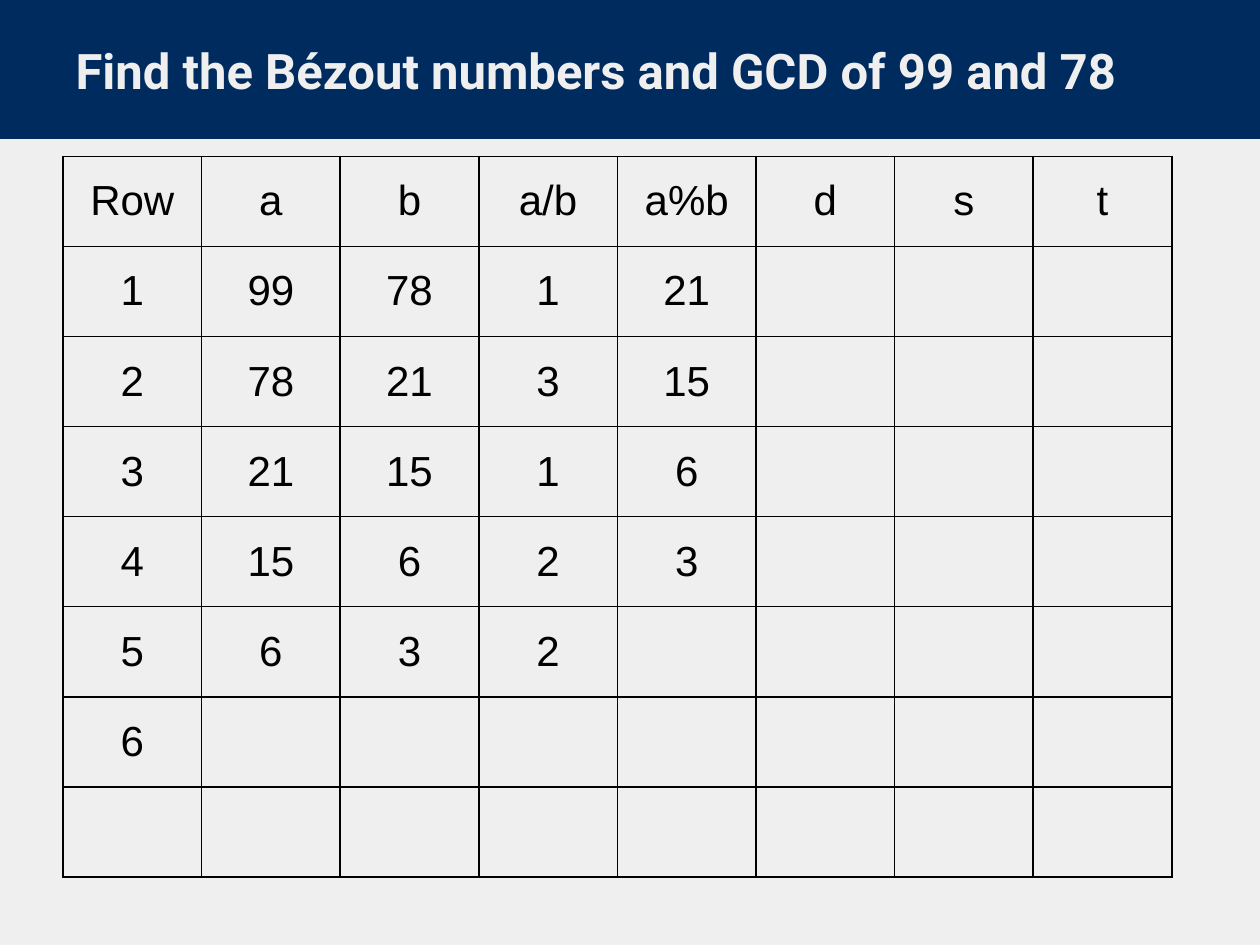
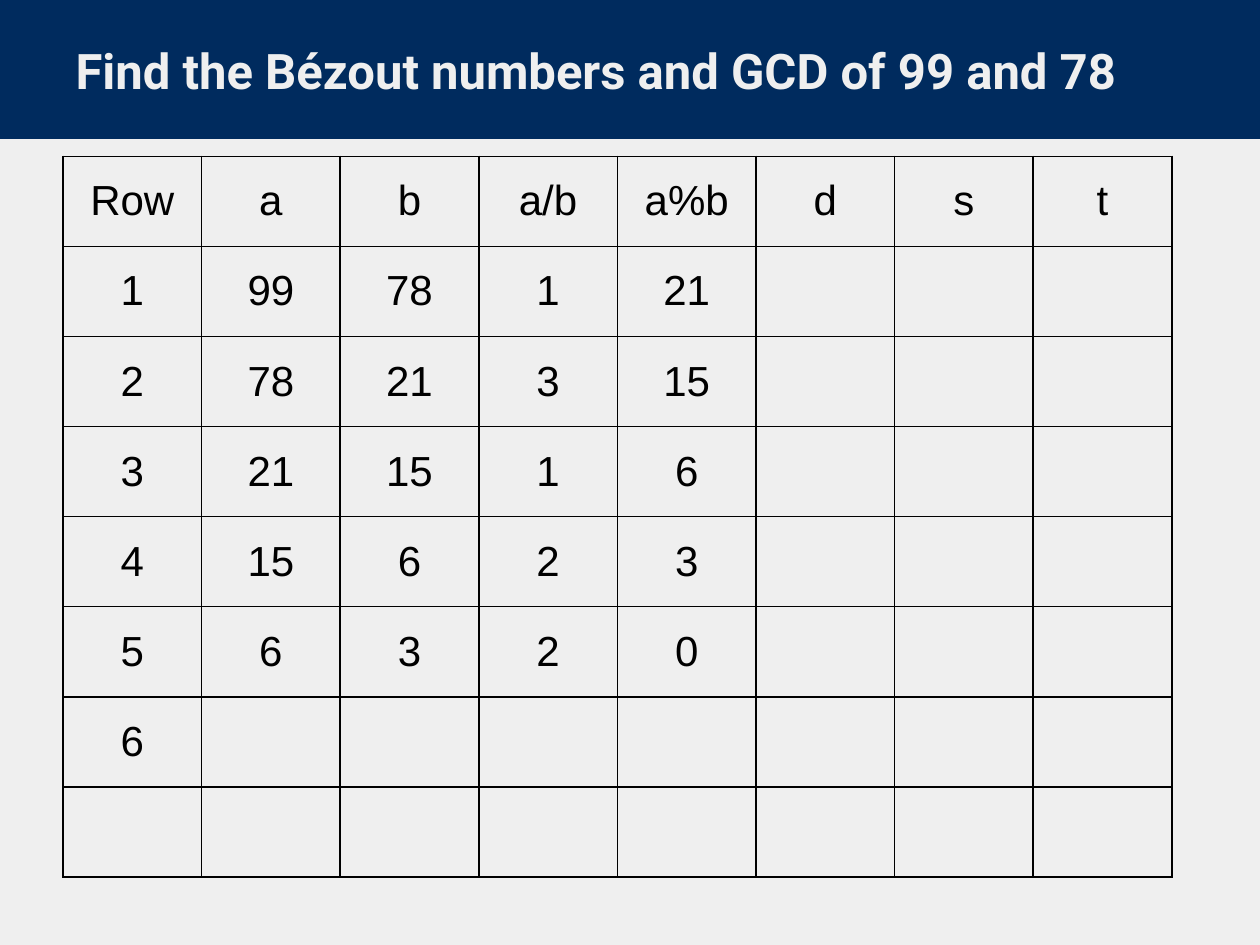
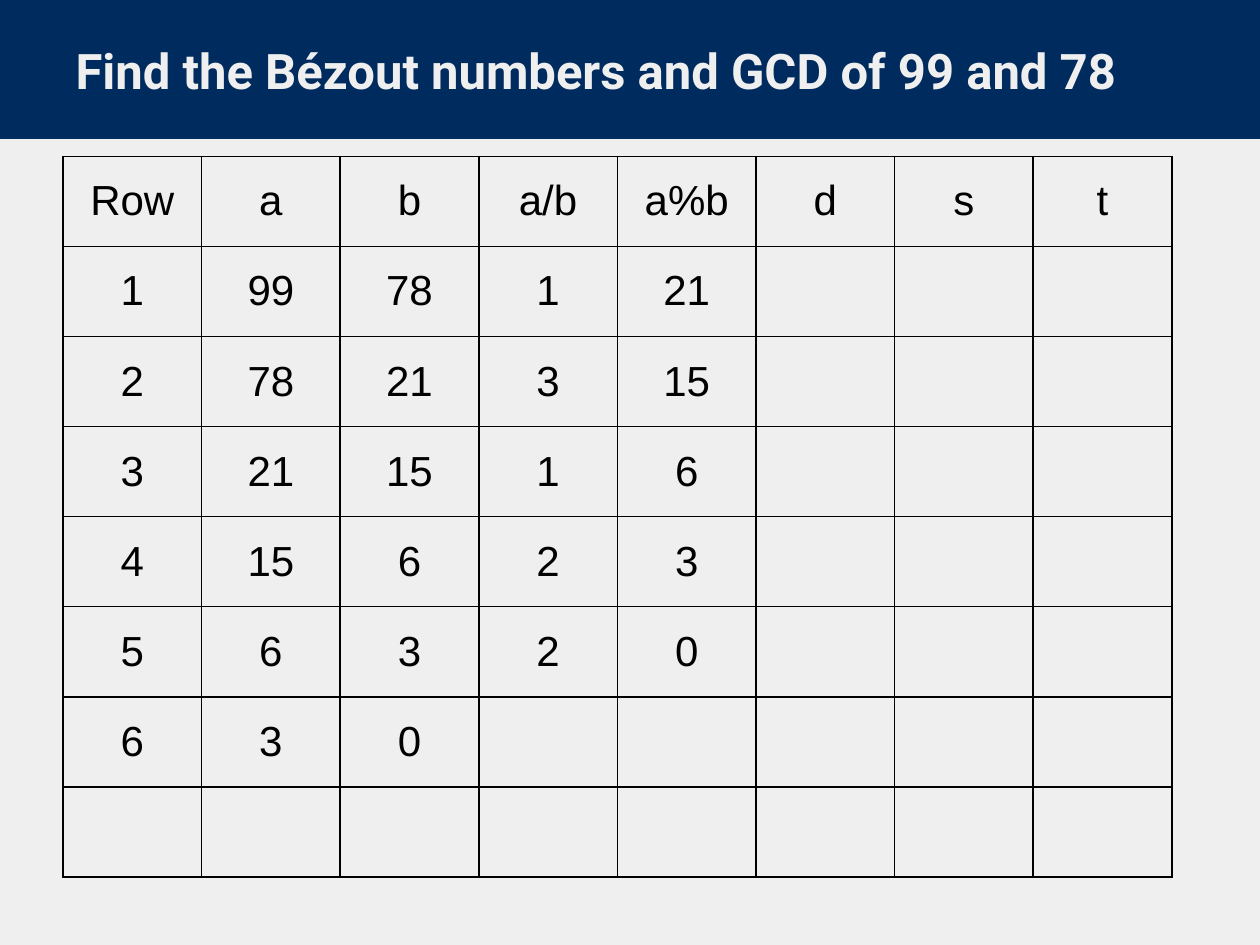
from lxml import etree
from pptx import Presentation, util as u
from pptx.dml.color import RGBColor
from pptx.enum import shapes, text
from pptx.oxml.ns import qn

NAVY = RGBColor(0x00, 0x2B, 0x5E)
PALE = RGBColor(0xEF, 0xEF, 0xEF)
BLACK = RGBColor(0x00, 0x00, 0x00)

TITLE = "Find the Bézout numbers and GCD of 99 and 78"
HEADER = ["Row", "a", "b", "a/b", "a%b", "d", "s", "t"]
ROW_COUNT = 8
FIRST_STEPS = [
    [1, 99, 78, 1, 21],
    [2, 78, 21, 3, 15],
    [3, 21, 15, 1, 6],
    [4, 15, 6, 2, 3],
]
# Rows 5 and 6 as they fill in from slide to slide
LAST_STEPS = [
    [[5, 6, 3, 2], [6]],
    [[5, 6, 3, 2, 0], [6]],
    [[5, 6, 3, 2, 0], [6, 3, 0]],
]


class Deck:
    """Holds the shared style and the current slide."""

    title_font, body_font = "Roboto", "Arial"
    title_size, body_size = u.Pt(28), u.Pt(24)
    border_width = u.Pt(1)

    def __init__(self):
        """Open an empty 10 by 7.5 inch presentation."""
        self.prs = Presentation()
        self.prs.slide_width, self.prs.slide_height = u.Inches(10), u.Inches(7.5)
        master_fill = self.prs.slide_master.background.fill
        master_fill.solid()
        master_fill.fore_color.rgb = PALE
        self.s = None

    def add_slide(self, title):
        """Start a slide with a title over the band."""
        self.s = self.prs.slides.add_slide(self.prs.slide_layouts[5])
        self.title(title)
        self.band()

    def title(self, words):
        """Fill and format the title placeholder."""
        sp = self.s.shapes.title
        sp.left, sp.top = u.Inches(0.5), u.Inches(0.22)
        sp.width, sp.height = u.Inches(9), u.Inches(0.67)
        tf = sp.text_frame
        tf.text = words
        tf.word_wrap = True
        tf.auto_size = text.MSO_AUTO_SIZE.NONE
        tf.vertical_anchor = text.MSO_ANCHOR.BOTTOM
        tf.margin_left = tf.margin_right = u.Inches(0.1)
        tf.margin_top = tf.margin_bottom = u.Inches(0.1)
        p = tf.paragraphs[0]
        p.alignment = text.PP_ALIGN.LEFT
        self.style(p, self.title_font, self.title_size, PALE, bold=True)

    def band(self):
        """Draw the navy band behind the title."""
        sp = self.s.shapes.add_shape(
            shapes.MSO_SHAPE.RECTANGLE, 0, 0, self.prs.slide_width, u.Inches(1.09))
        sp.shadow.inherit = False
        sp.fill.solid()
        sp.fill.fore_color.rgb = NAVY
        sp.line.color.rgb = NAVY
        sp.line.width = u.Pt(1.5)
        self.s.shapes.title._element.addprevious(sp._element)

    def table(self, rows):
        """Add the bordered grid; missing values leave empty cells."""
        frame = self.s.shapes.add_table(
            ROW_COUNT, len(HEADER), u.Inches(0.5), u.Inches(1.24),
            u.Inches(8.8), u.Inches(5.72))
        table = frame.table
        table.first_row = table.horz_banding = False
        for cell in table.iter_cells():
            cell.fill.background()
            self.borders(cell)
            cell.vertical_anchor = text.MSO_ANCHOR.MIDDLE
        for r, values in enumerate(rows):
            for c, value in enumerate(values):
                tf = table.cell(r, c).text_frame
                tf.text = str(value)
                p = tf.paragraphs[0]
                p.alignment = text.PP_ALIGN.CENTER
                self.style(p, self.body_font, self.body_size, BLACK)

    def borders(self, cell):
        """Draw a black line on all four sides of a cell."""
        props = cell._tc.get_or_add_tcPr()
        for i, side in enumerate(("a:lnL", "a:lnR", "a:lnT", "a:lnB")):
            line = etree.Element(qn(side), w=str(self.border_width))
            fill = etree.SubElement(line, qn("a:solidFill"))
            etree.SubElement(fill, qn("a:srgbClr"), val=str(BLACK))
            props.insert(i, line)

    @staticmethod
    def style(p, font, size, color, bold=False):
        """Format every run of a paragraph."""
        for r in p.runs:
            r.font.name, r.font.size, r.font.bold = font, size, bold
            r.font.color.rgb = color


deck = Deck()
for last_steps in LAST_STEPS:
    deck.add_slide(TITLE)
    deck.table([HEADER] + FIRST_STEPS + last_steps)
deck.prs.save("out.pptx")
